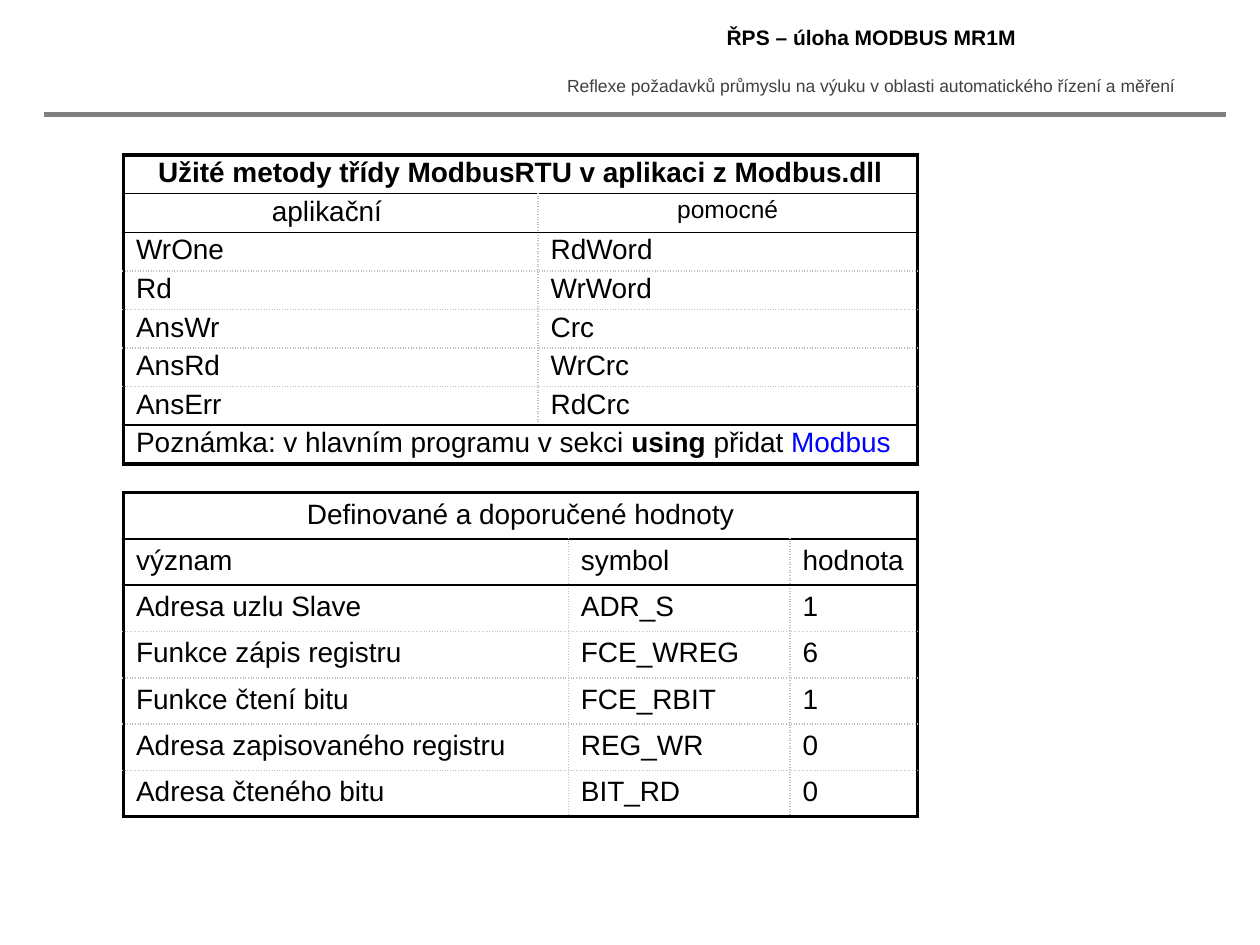
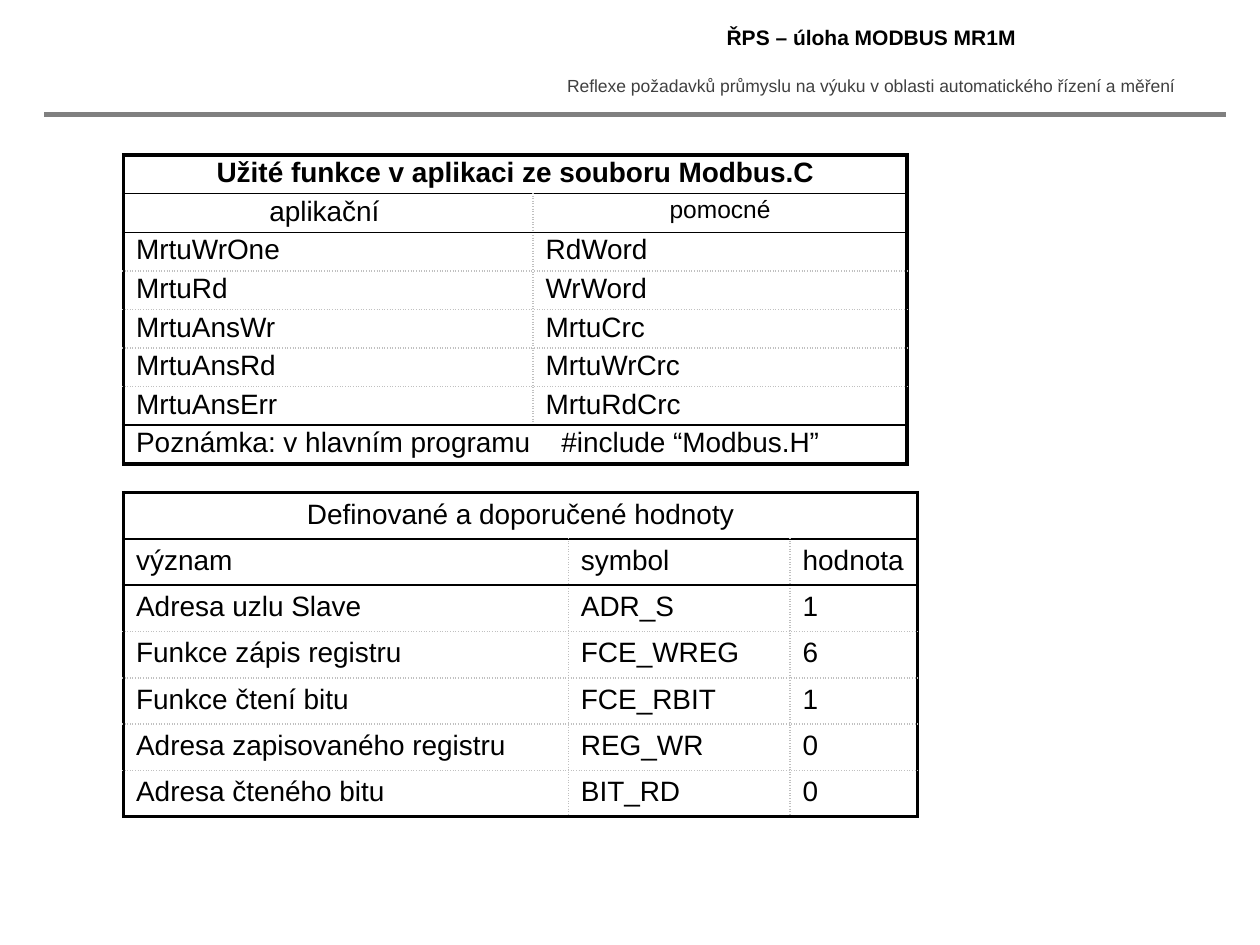
"""Builds two slides listing Modbus methods, functions and recommended values."""
from lxml.etree import SubElement
from pptx import Presentation
from pptx.dml.color import RGBColor
from pptx.enum.shapes import MSO_CONNECTOR
from pptx.enum.text import MSO_ANCHOR, PP_ALIGN
from pptx.oxml import parse_xml
from pptx.oxml.ns import nsdecls, qn
from pptx.util import Pt

BLACK = RGBColor(0x00, 0x00, 0x00)
BLUE = RGBColor(0x00, 0x00, 0xFF)
DARK_GREY = RGBColor(0x40, 0x40, 0x40)
GREY = RGBColor(0x80, 0x80, 0x80)
SILVER = RGBColor(0xC0, 0xC0, 0xC0)
FONT = "Arial"
THICK, THIN, DOTTED = (BLACK, 2.25, "solid"), (BLACK, 1, "solid"), (SILVER, 1, "sysDot")
NO_STYLE = "{2D5ABB26-0587-4C30-8999-92F81FD0307C}"
TABLE_LEFT = 70.6
TAB_STOP = 243

TITLE = "ŘPS – úloha MODBUS MR1M"
SUBTITLE = "Reflexe požadavků průmyslu na výuku v oblasti automatického řízení a měření"
GROUPS = ["aplikační ", "pomocné"]
VALUES = [
    ["Definované a doporučené hodnoty"],
    ["význam", "symbol", "hodnota"],
    ["Adresa uzlu Slave", "ADR_S", "1"],
    ["Funkce zápis registru", "FCE_WREG", "6"],
    ["Funkce čtení bitu", "FCE_RBIT", "1"],
    ["Adresa zapisovaného registru", "REG_WR", "0"],
    ["Adresa čteného bitu", "BIT_RD", "0"],
]
METHODS = [
    ["Užité metody třídy ModbusRTU v aplikaci z Modbus.dll"],
    GROUPS,
    ["WrOne", "RdWord"],
    ["Rd", "WrWord"],
    ["AnsWr", "Crc"],
    ["AnsRd", "WrCrc"],
    ["AnsErr", "RdCrc"],
    ["Poznámka: v hlavním programu v sekci |using |přidat |Modbus"],
]
FUNCTIONS = [
    ["Užité funkce v aplikaci ze souboru Modbus.C"],
    GROUPS,
    ["MrtuWrOne", "RdWord"],
    ["MrtuRd", "WrWord"],
    ["MrtuAnsWr", "MrtuCrc"],
    ["MrtuAnsRd", "MrtuWrCrc"],
    ["MrtuAnsErr", "MrtuRdCrc"],
    ["Poznámka: v hlavním programu\t#include “Modbus.H”"],
]


def format_paragraph(paragraph, size, color=BLACK, bold=False, centered=False):
    paragraph.alignment = PP_ALIGN.CENTER if centered else PP_ALIGN.LEFT
    font = paragraph.font
    font.name, font.size, font.bold = FONT, Pt(size), bold
    font.color.rgb = color


def add_ruled_table(slide, rows, top, widths, row_height, margin, thin_edges):
    frame = slide.shapes.add_table(len(rows), len(widths), Pt(TABLE_LEFT), Pt(top),
                                   Pt(sum(widths)), Pt(row_height * len(rows)))
    table = frame.table
    table.first_row = table.horz_banding = False
    table._tbl.tblPr.find(qn("a:tableStyleId")).text = NO_STYLE
    for column, width in zip(table.columns, widths):
        column.width = Pt(width)
    for row_index, texts in enumerate(rows):
        table.rows[row_index].height = Pt(row_height)
        if len(texts) == 1:
            table.cell(row_index, 0).merge(table.cell(row_index, len(widths) - 1))
        edges = [THICK if edge in (0, len(rows)) else THIN if edge in thin_edges else DOTTED
                 for edge in (row_index, row_index + 1)]
        for column_index, text in enumerate(texts):
            cell = table.cell(row_index, column_index)
            cell.margin_top = cell.margin_bottom = Pt(margin)
            cell.fill.background()
            paragraph = cell.text_frame.paragraphs[0]
            paragraph.space_before = Pt(0.7)
            for part in text.split("|"):
                run = paragraph.add_run()
                run.text = part
                if part == "using ":
                    run.font.bold = True
                elif part == "Modbus":
                    run.font.color.rgb = BLUE
            is_group = texts is GROUPS
            format_paragraph(paragraph, 14 if text == "pomocné" else 16,
                             bold=text.startswith("Užité"), centered=row_index == 0 or is_group)
            if "\t" in text:
                tabs = parse_xml(f'<a:tabLst {nsdecls("a")}><a:tab pos="{Pt(TAB_STOP)}" algn="l"/></a:tabLst>')
                paragraph._p.pPr.find(qn("a:defRPr")).addprevious(tabs)
            borders = {
                "L": DOTTED if column_index else THICK,
                "R": THICK if column_index == len(texts) - 1 else DOTTED,
                "T": edges[0],
                "B": edges[1],
            }
            properties = cell._tc.get_or_add_tcPr()
            for position, (side, (color, width, dash)) in enumerate(borders.items()):
                properties.insert(position, parse_xml(
                    f'<a:ln{side} {nsdecls("a")} w="{Pt(width)}"><a:solidFill><a:srgbClr val="{color}"/>'
                    f'</a:solidFill><a:prstDash val="{dash}"/></a:ln{side}>'))


presentation = Presentation()
presentation.slide_width, presentation.slide_height = Pt(720), Pt(540)

for rows, widths in [(METHODS, (236.9, 216.7)), (FUNCTIONS, (234, 213.8))]:
    slide = presentation.slides.add_slide(presentation.slide_layouts[5])
    title = slide.shapes.title
    title.left, title.top, title.width, title.height = Pt(309.6), Pt(10), Pt(376.6), Pt(22.4)
    title.text_frame.text = TITLE
    title.text_frame.vertical_anchor = MSO_ANCHOR.MIDDLE
    format_paragraph(title.text_frame.paragraphs[0], 12, bold=True, centered=True)

    subtitle = slide.shapes.add_textbox(Pt(309.6), Pt(39.6), Pt(376), Pt(19.4))
    subtitle.text_frame.word_wrap = True
    subtitle.text_frame.text = SUBTITLE
    format_paragraph(subtitle.text_frame.paragraphs[0], 10, DARK_GREY, centered=True)

    rule = slide.shapes.add_connector(MSO_CONNECTOR.STRAIGHT, Pt(25.2), Pt(65.6), Pt(700.6), Pt(65.6))
    rule.line.color.rgb = GREY
    rule.line.width = Pt(3)
    SubElement(rule._element.spPr, qn("a:effectLst"))

    add_ruled_table(slide, VALUES, 281.5, (254.2, 126.7, 72.7), 26.45, 3.6, (1, 2))
    add_ruled_table(slide, rows, 88.6, widths, 22.05, 1.44, (1, 2, 7))

presentation.save("out.pptx")
